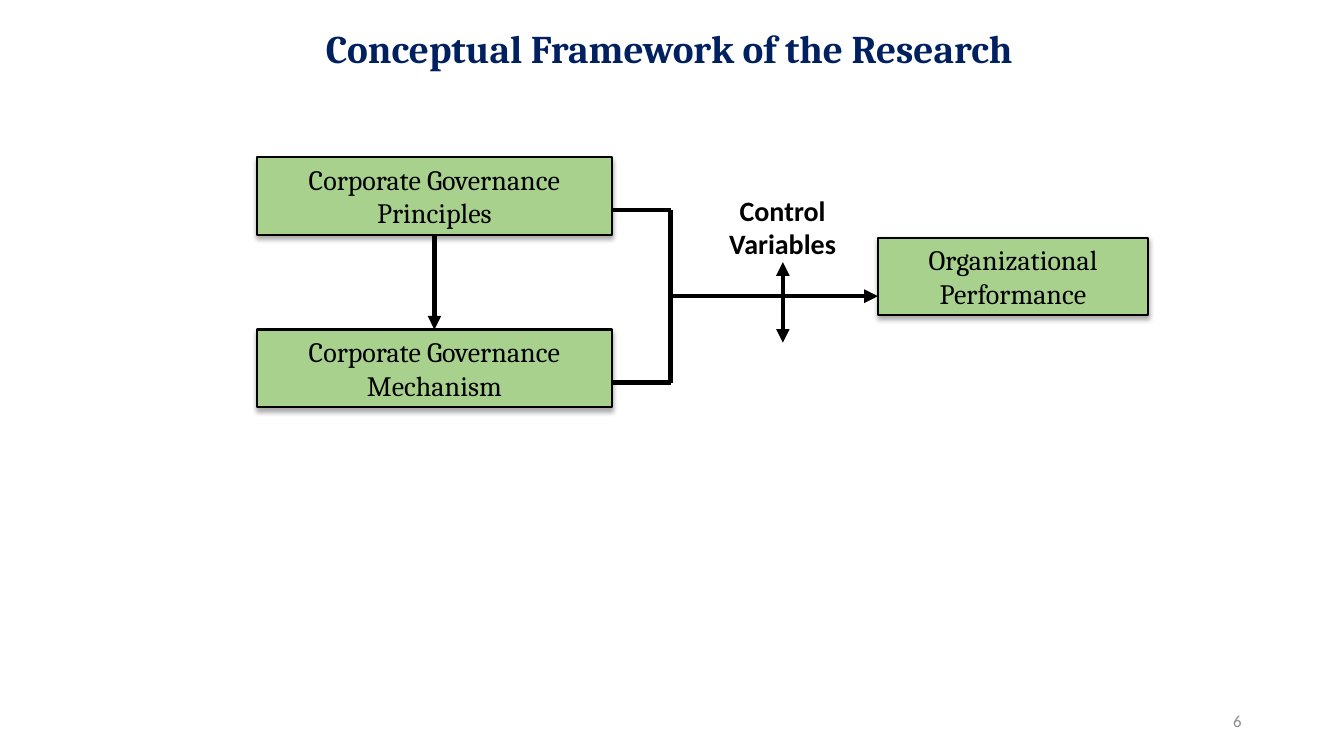
from lxml import etree
from pptx import Presentation
from pptx.dml.color import RGBColor
from pptx.enum.shapes import MSO_CONNECTOR, MSO_SHAPE
from pptx.enum.text import MSO_ANCHOR, MSO_AUTO_SIZE, PP_ALIGN
from pptx.oxml.ns import qn
from pptx.util import Pt

CENTER, RIGHT = PP_ALIGN.CENTER, PP_ALIGN.RIGHT
TOP, MIDDLE = MSO_ANCHOR.TOP, MSO_ANCHOR.MIDDLE
RECTANGLE, STRAIGHT = MSO_SHAPE.RECTANGLE, MSO_CONNECTOR.STRAIGHT
NO_FIT = MSO_AUTO_SIZE.NONE
TITLE_ONLY = 5

BLACK = "000000"
BOX_FILL = "A9D18E"
BOX_HEIGHT = 55.4
CAUSE_LEFT, CAUSE_WIDTH = 183.6, 253.4
PRINCIPLES_TOP, MECHANISM_TOP = 112.3, 235.4
OUTCOME_LEFT = 627.1

BOX_FONT = {"name": "Cambria", "size": Pt(20), "bold": False}
TITLE_FONT = {"name": "Cambria", "size": Pt(28), "bold": True}
CONTROL_FONT = {"name": "Calibri", "size": Pt(20), "bold": True}
NUMBER_FONT = {"name": "Calibri", "size": Pt(12), "bold": False}

TITLE = "Conceptual Framework of the Research"
CONTROL = ["Control", "Variables"]
PAGE_NUMBER = "6"
CONCEPTS = [
    ("Corporate Governance Principles", CAUSE_LEFT, PRINCIPLES_TOP, CAUSE_WIDTH),
    ("Corporate Governance Mechanism", CAUSE_LEFT, MECHANISM_TOP, CAUSE_WIDTH),
    ("Organizational Performance", OUTCOME_LEFT, 169.8, 193),
]

cause_right = CAUSE_LEFT + CAUSE_WIDTH
cause_middle = CAUSE_LEFT + CAUSE_WIDTH / 2
bracket_x = 479
bracket_top, bracket_bottom = PRINCIPLES_TOP + 37.5, MECHANISM_TOP + 37.9
bracket_middle = (bracket_top + bracket_bottom) / 2
control_x = 559.2
LINKS = [
    (cause_middle, PRINCIPLES_TOP + BOX_HEIGHT, cause_middle, MECHANISM_TOP, 3.25, ["tailEnd"]),
    (cause_right, bracket_top, bracket_x, bracket_top, 3, []),
    (cause_right, bracket_bottom, bracket_x, bracket_bottom, 3, []),
    (bracket_x, bracket_top, bracket_x, bracket_bottom, 3, []),
    (bracket_x, bracket_middle, OUTCOME_LEFT, bracket_middle, 3.25, ["tailEnd"]),
    (control_x, 187.2, control_x, 244.8, 3.25, ["headEnd", "tailEnd"]),
]


def color(hex_value):
    return RGBColor.from_string(hex_value)


def write(shape, lines, font_format, hex_value, align=CENTER, anchor=MIDDLE):
    frame = shape.text_frame
    frame.word_wrap = True
    frame.auto_size = NO_FIT
    frame.vertical_anchor = anchor
    frame.text = "\n".join(lines)
    for paragraph in frame.paragraphs:
        paragraph.alignment = align
        font = paragraph.runs[0].font
        for attribute, value in font_format.items():
            setattr(font, attribute, value)
        font.color.rgb = color(hex_value)


def add_shadow(shape):
    shape.shadow.inherit = False
    effects = shape._element.spPr.find(qn("a:effectLst"))
    shadow = etree.SubElement(
        effects, qn("a:outerShdw"), blurRad=str(Pt(3.5)), dist=str(Pt(2.2)),
        dir="5400000", algn="t", rotWithShape="0")
    tint = etree.SubElement(shadow, qn("a:srgbClr"), val=BLACK)
    etree.SubElement(tint, qn("a:alpha"), val="32000")


def add_concept(text, left, top, width):
    box = slide.shapes.add_shape(RECTANGLE, Pt(left), Pt(top), Pt(width), Pt(BOX_HEIGHT))
    box.fill.solid()
    box.fill.fore_color.rgb = color(BOX_FILL)
    box.line.color.rgb = color(BLACK)
    box.line.width = Pt(1.5)
    add_shadow(box)
    write(box, [text], BOX_FONT, BLACK)


def add_link(x1, y1, x2, y2, weight, arrowheads):
    link = slide.shapes.add_connector(STRAIGHT, Pt(x1), Pt(y1), Pt(x2), Pt(y2))
    link.line.color.rgb = color(BLACK)
    link.line.width = Pt(weight)
    properties = link._element.spPr
    for end in arrowheads:
        etree.SubElement(properties.find(qn("a:ln")), qn(f"a:{end}"), type="triangle")
    etree.SubElement(properties, qn("a:effectLst"))


def add_label(left, top, width, height):
    return slide.shapes.add_textbox(Pt(left), Pt(top), Pt(width), Pt(height))


deck = Presentation()
deck.slide_width, deck.slide_height = Pt(960), Pt(540)
slide = deck.slides.add_slide(deck.slide_layouts[TITLE_ONLY])

title = slide.shapes.title
title.left, title.top, title.width, title.height = Pt(64), Pt(16.5), Pt(828), Pt(39.6)
write(title, [TITLE], TITLE_FONT, "002060")
title.text_frame.paragraphs[0].line_spacing = 0.9

for concept in CONCEPTS:
    add_concept(*concept)
for link_ends in LINKS:
    add_link(*link_ends)

write(add_label(512.6, 134.6, 92.9, BOX_HEIGHT), CONTROL, CONTROL_FONT, BLACK, anchor=TOP)
write(add_label(678, 500.5, 216, 28.8), [PAGE_NUMBER], NUMBER_FONT, "8C8C8C", align=RIGHT)

deck.save("out.pptx")
